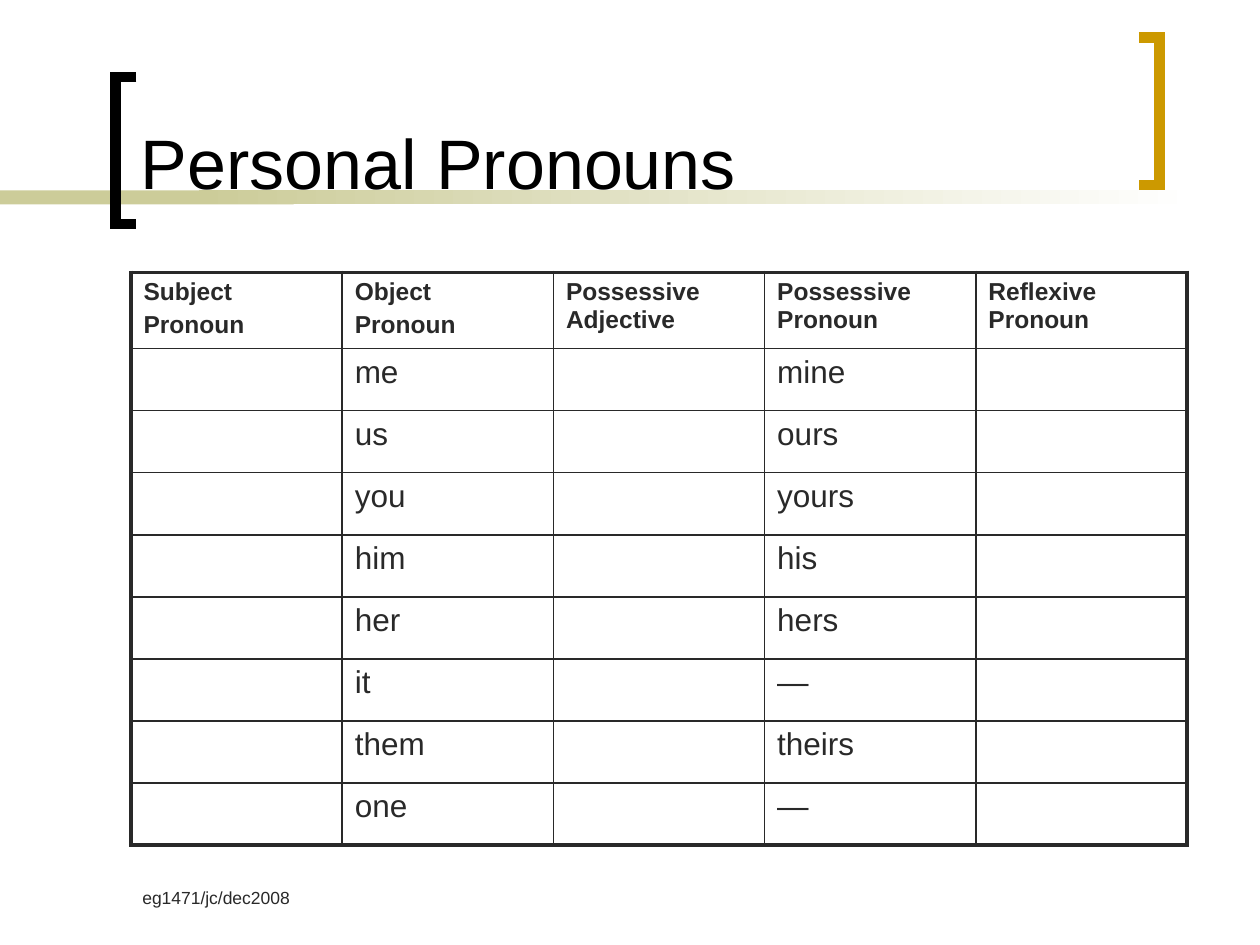
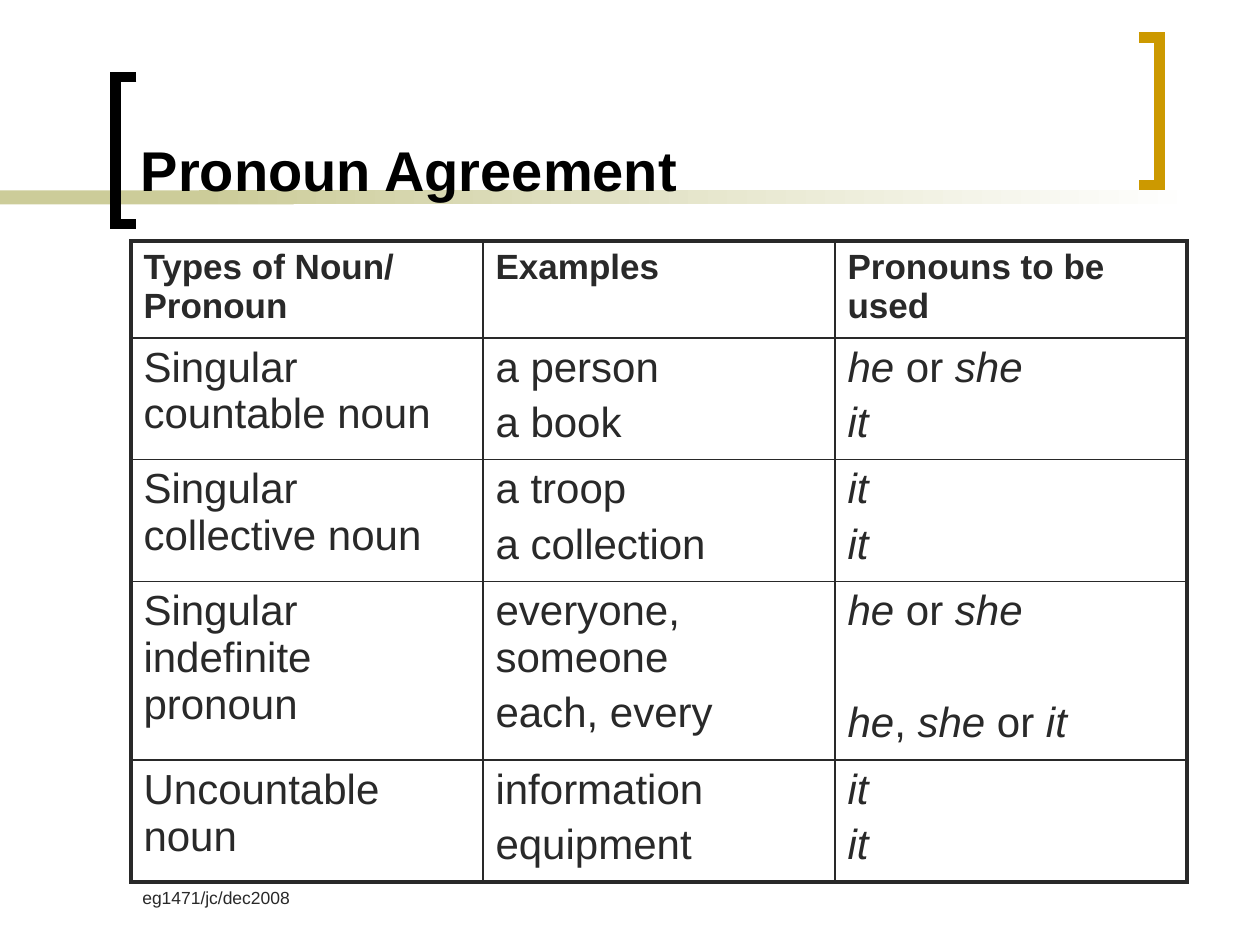
from lxml import etree
from pptx import Presentation
from pptx.dml.color import RGBColor
from pptx.enum.shapes import MSO_SHAPE
from pptx.enum.text import MSO_ANCHOR
from pptx.oxml.ns import qn
from pptx.util import Cm, Pt

RECT = MSO_SHAPE.RECTANGLE
BOTTOM = MSO_ANCHOR.BOTTOM


class Theme:
    font = "Arial"
    ink = RGBColor(0x29, 0x29, 0x29)
    black = RGBColor(0, 0, 0)
    gold = RGBColor(0xCC, 0x99, 0x00)
    sage = RGBColor(0xCC, 0xCC, 0x99)
    white = RGBColor(255, 255, 255)
    foot = 10
    thin = Pt(1)
    thick = Pt(2.25)
    stroke = Pt(6)


def write(frame, text, size, bold=False, color=Theme.ink):
    frame.word_wrap = True
    para = frame.paragraphs[0]
    gap = 0
    for row, line in enumerate(text.split("\n")):
        if not line:
            gap += 1.35 * size
            continue
        if row:
            para = frame.add_paragraph()
            para.space_before = Pt(round(gap + 0.2 * size, 1))
        gap = 0.2 * size if gap == 0 and row < 0 else 0
        for part, words in enumerate(line.split("*")):
            if words:
                run = para.add_run()
                run.text = words
                run.font.name = Theme.font
                run.font.size = Pt(size)
                run.font.bold = bold
                run.font.italic = part % 2 == 1
                run.font.color.rgb = color


def edge(cell, side, width):
    line = etree.SubElement(cell._tc.get_or_add_tcPr(), qn("a:ln" + side), w=str(width))
    fill = etree.SubElement(line, qn("a:solidFill"))
    etree.SubElement(fill, qn("a:srgbClr"), val=str(Theme.ink))


persons = [
    ("me", "mine"), ("us", "ours"), ("you", "yours"), ("him", "his"),
    ("her", "hers"), ("it", "―"), ("them", "theirs"), ("one", "―"),
]
pages = [
    dict(
        title="Personal Pronouns", size=40, bold=False,
        top=5.49, head=14, body=18, rows=[1.47] + [1.25] * 8,
        cells=[("Subject\nPronoun", "Object\nPronoun", "Possessive Adjective",
                "Possessive Pronoun", "Reflexive Pronoun")]
        + [("", obj, "", own, "") for obj, own in persons],
    ),
    dict(
        title="Pronoun Agreement", size=32, bold=True,
        top=4.86, head=20, body=24, rows=[1.91, 2.31, 2.31, 3.44, 2.31],
        cells=[
            ("Types of Noun/ Pronoun", "Examples", "Pronouns to be used"),
            ("Singular countable noun", "a person\na book", "*he* or *she*\n*it*"),
            ("Singular collective noun", "a troop\na collection", "*it*\n*it*"),
            ("Singular indefinite pronoun", "everyone, someone\neach, every",
             "*he* or *she*\n\n*he*, *she* or *it*"),
            ("Uncountable noun", "information\nequipment", "*it*\n*it*"),
        ],
    ),
]
marks = [
    (Theme.black, 2.75, 2.33, 1.55),
    (Theme.gold, 22.96, 23.37, 0.76),
]
tall = 2.97
wide = 21.29

deck = Presentation()
deck.slide_width = Cm(25.4)
deck.slide_height = Cm(19.05)

for page in pages:
    slide = deck.slides.add_slide(deck.slide_layouts[6])
    shapes = slide.shapes

    for left, width in [(0, 5.92), (4.01, 20.12)]:
        band = shapes.add_shape(RECT, Cm(left), Cm(3.84), Cm(width), Cm(0.28))
        band.shadow.inherit = False
        band.line.fill.background()
        if left:
            band.fill.gradient()
            band.fill.gradient_angle = 0
            for stop, tint in zip(band.fill.gradient_stops, (Theme.sage, Theme.white)):
                stop.color.rgb = tint
        else:
            band.fill.solid()
            band.fill.fore_color.rgb = Theme.sage

    for color, tip, spine, top in marks:
        pen = shapes.build_freeform(Cm(tip), Cm(top))
        pen.add_line_segments(
            [(Cm(spine), Cm(top)), (Cm(spine), Cm(top + tall)), (Cm(tip), Cm(top + tall))],
            close=False,
        )
        mark = pen.convert_to_shape()
        mark.shadow.inherit = False
        mark.fill.background()
        mark.line.color.rgb = color
        mark.line.width = Theme.stroke
        etree.SubElement(mark.line._get_or_add_ln(), qn("a:miter"), lim="800000")

    foot = shapes.add_textbox(Cm(2.62), Cm(17.35), Cm(5.28), Cm(1.27)).text_frame
    foot.margin_top = Cm(0.53)
    write(foot, "eg1471/jc/dec2008", Theme.foot)

    title = shapes.add_textbox(Cm(2.59), Cm(0.28), Cm(19.89), Cm(3.94)).text_frame
    title.vertical_anchor = BOTTOM
    write(title, page["title"], page["size"], page["bold"], Theme.black)

    cells, rows = page["cells"], page["rows"]
    high, across = len(rows), len(cells[0])
    table = shapes.add_table(
        high, across, Cm(2.64), Cm(page["top"]), Cm(wide), Cm(sum(rows))
    ).table
    table.horz_banding = False
    for col in table.columns:
        col.width = Cm(wide / across)
    for r, texts in enumerate(cells):
        table.rows[r].height = Cm(rows[r])
        for c, text in enumerate(texts):
            cell = table.cell(r, c)
            outer = dict(L=c == 0, R=c == across - 1, T=r == 0, B=r == high - 1)
            for side, rim in outer.items():
                edge(cell, side, Theme.thick if rim else Theme.thin)
            cell.fill.background()
            write(cell.text_frame, text, page["body"] if r else page["head"], r == 0)

deck.save("out.pptx")
